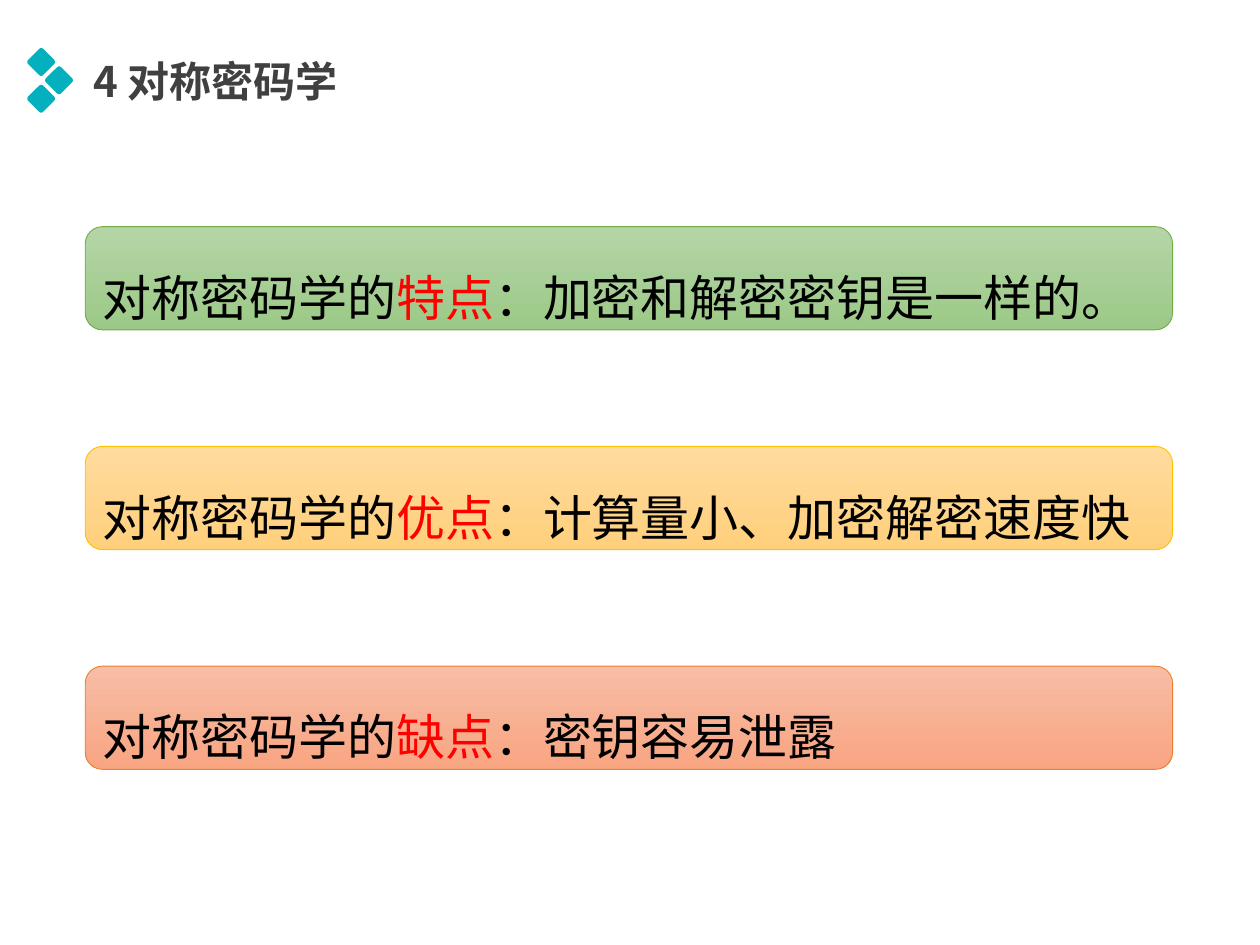
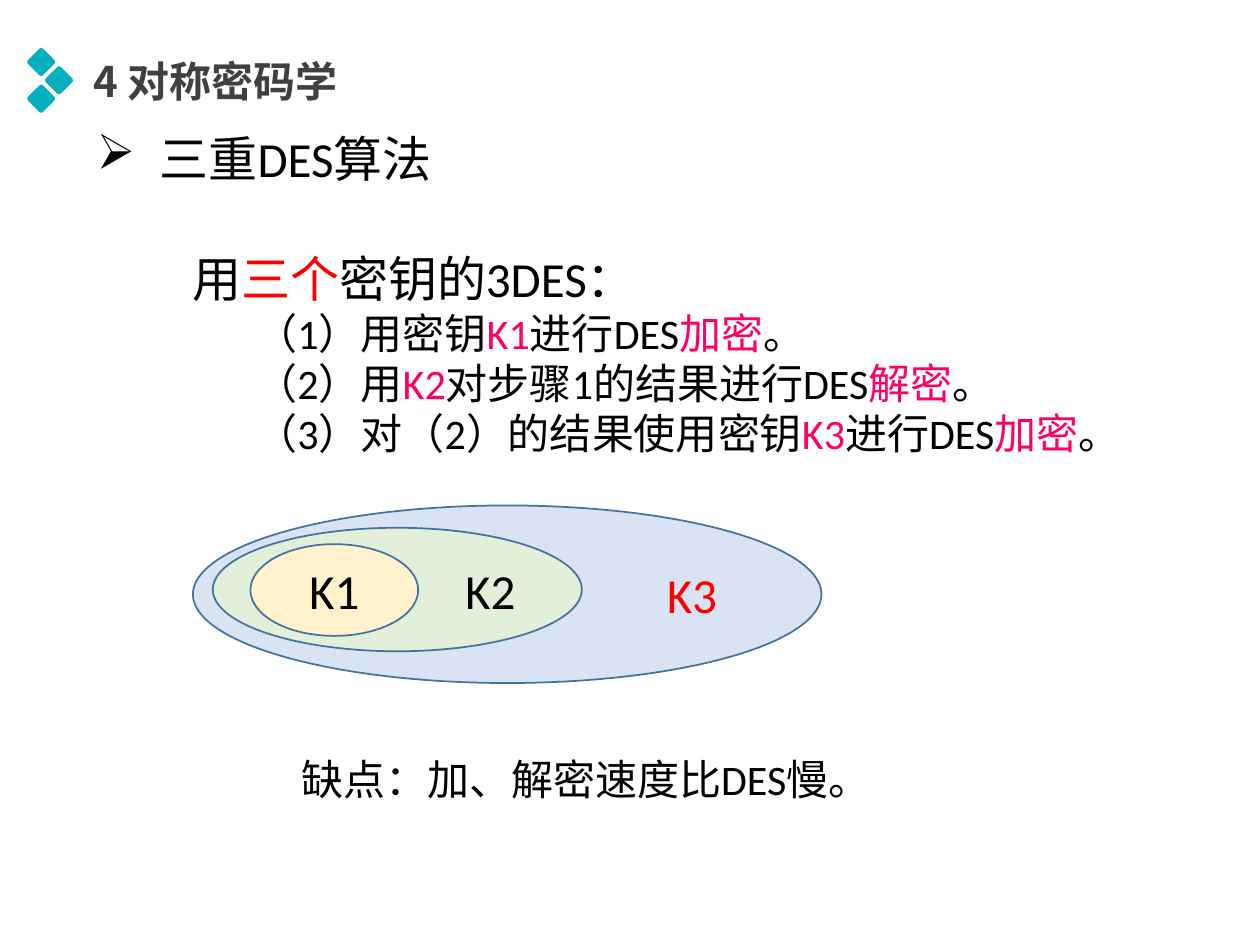
"""Build two slides on symmetric cryptography and triple DES."""
from lxml import etree
from pptx import Presentation
from pptx.dml.color import RGBColor
from pptx.enum.shapes import MSO_SHAPE
from pptx.enum.text import MSO_ANCHOR, MSO_AUTO_SIZE, PP_ALIGN
from pptx.oxml.ns import qn
from pptx.util import Cm, Pt

ROUNDED, OVAL = MSO_SHAPE.ROUNDED_RECTANGLE, MSO_SHAPE.OVAL
TOP, MIDDLE = MSO_ANCHOR.TOP, MSO_ANCHOR.MIDDLE
LEFT, CENTER, RIGHT = PP_ALIGN.LEFT, PP_ALIGN.CENTER, PP_ALIGN.RIGHT
GROW = MSO_AUTO_SIZE.SHAPE_TO_FIT_TEXT

BLACK = RGBColor(0x00, 0x00, 0x00)
RED = RGBColor(0xFF, 0x00, 0x00)
PINK = RGBColor(0xFF, 0x00, 0x66)
TITLE_GREY = RGBColor(0x40, 0x40, 0x40)
TEAL = RGBColor(0x04, 0xB0, 0xBE)
RING_LINE = RGBColor(0x43, 0x73, 0x9E)
GREEN = RGBColor(0xB5, 0xD5, 0xA7), RGBColor(0x9C, 0xC9, 0x87), RGBColor(0x70, 0xAD, 0x47)
YELLOW = RGBColor(0xFF, 0xDB, 0x9E), RGBColor(0xFF, 0xD0, 0x7C), RGBColor(0xFF, 0xC0, 0x00)
ORANGE = RGBColor(0xF7, 0xBD, 0xA5), RGBColor(0xF8, 0xA5, 0x82), RGBColor(0xED, 0x7D, 0x31)
PALE_BLUE = RGBColor(0xDA, 0xE3, 0xF3)
PALE_GREEN = RGBColor(0xE2, 0xF0, 0xD9)
PALE_YELLOW = RGBColor(0xFF, 0xF2, 0xCC)

LATIN_FONT, BODY_FONT, TITLE_FONT = "Calibri", "Noto Sans CJK JP", "Noto Sans CJK SC"

TITLE = "4 对称密码学"
DIAMOND_CENTERS = [(0.83, 1.25), (1.19, 1.62), (0.83, 1.99)]
DIAMOND_SIDE = 0.43

# Text between asterisks takes the accent colour.
TRAITS = [
    ("对称密码学的*特点*：加密和解密密钥是一样的。", GREEN),
    ("对称密码学的*优点*：计算量小、加密解密速度快", YELLOW),
    ("对称密码学的*缺点*：密钥容易泄露", ORANGE),
]
TRAIT_TOP, TRAIT_PITCH = 4.57, 4.43

ALGORITHM = "三重DES算法"
STEPS_HEADING = "用*三个*密钥的3DES："
STEPS = [
    "（1）用密钥*K1*进行DES*加密*。",
    "（2）用*K2*对步骤1的结果进行DES*解密*。",
    "（3）对（2）的结果使用密钥*K3*进行DES*加密*。",
]
DRAWBACK = "缺点：加、解密速度比DES慢。"
KEY_RINGS = [
    ("K3", (3.89, 10.19, 12.67, 3.58), PALE_BLUE, RED, RIGHT),
    ("K2", (4.29, 10.64, 7.44, 2.49), PALE_GREEN, BLACK, RIGHT),
    ("K1", (5.05, 10.97, 3.38, 1.85), PALE_YELLOW, BLACK, CENTER),
]


def write(paragraph, text, size=28, font=LATIN_FONT, color=BLACK, accent=RED,
          bold=False, align=LEFT, margin=0, indent=0, bullet=None):
    paragraph.alignment = align
    properties = paragraph._p.get_or_add_pPr()
    properties.set("marL", str(Cm(margin)))
    properties.set("indent", str(Cm(indent)))
    if bullet:
        etree.SubElement(properties, qn("a:buChar")).set("char", bullet)
    paragraph.font.size = Pt(size)
    paragraph.font.bold = bold
    paragraph.font.name = font
    paragraph.font.color.rgb = color
    east_asian = BODY_FONT if font == LATIN_FONT else font
    etree.SubElement(properties.get_or_add_defRPr(), qn("a:ea")).set("typeface", east_asian)
    for index, part in enumerate(text.split("*")):
        run = paragraph.add_run()
        run.text = part
        if index % 2:
            run.font.color.rgb = accent


def add_text_frame(slide, box, wrap=True):
    frame = slide.shapes.add_textbox(*map(Cm, box)).text_frame
    frame.word_wrap = wrap
    frame.auto_size = GROW
    return frame


def add_shape(slide, kind, box, fill=None, line=None, line_width=1, anchor=MIDDLE):
    shape = slide.shapes.add_shape(kind, *map(Cm, box))
    shape.shadow.inherit = False
    shape.text_frame.vertical_anchor = anchor
    if fill is not None:
        shape.fill.solid()
        shape.fill.fore_color.rgb = fill
    if line is None:
        shape.line.fill.background()
    else:
        shape.line.color.rgb = line
        shape.line.width = Pt(line_width)
    return shape


def add_titled_slide(presentation):
    slide = presentation.slides.add_slide(presentation.slide_layouts[6])
    for x, y in DIAMOND_CENTERS:
        half = DIAMOND_SIDE / 2
        diamond = add_shape(slide, ROUNDED, (x - half, y - half, DIAMOND_SIDE, DIAMOND_SIDE), TEAL)
        diamond.adjustments[0] = 0.13
        diamond.rotation = 45
    frame = add_text_frame(slide, (1.7, 1.02, 7.7, 1.22))
    frame.margin_left = frame.margin_right = Cm(0.18)
    frame.margin_top = frame.margin_bottom = Cm(0.1)
    write(frame.paragraphs[0], TITLE, 24, TITLE_FONT, TITLE_GREY, bold=True)
    return slide


def build_traits_slide(presentation):
    slide = add_titled_slide(presentation)
    for index, (text, (light, dark, outline)) in enumerate(TRAITS):
        box = 1.72, TRAIT_TOP + index * TRAIT_PITCH, 21.92, 2.08
        band = add_shape(slide, ROUNDED, box, line=outline, line_width=0.5, anchor=TOP)
        band.fill.gradient()
        band.fill.gradient_angle = 270
        for stop, color in zip(band.fill.gradient_stops, (light, dark)):
            stop.color.rgb = color
            stop.position = float(color is dark)
        band.text_frame.word_wrap = True
        band.text_frame.auto_size = GROW
        paragraph = band.text_frame.paragraphs[0]
        paragraph.line_spacing = 1.5
        write(paragraph, text, font=BODY_FONT)


def build_triple_des_slide(presentation):
    slide = add_titled_slide(presentation)
    heading = add_text_frame(slide, (1.7, 2.46, 7.34, 1.45), wrap=False)
    write(heading.paragraphs[0], ALGORITHM, margin=1.27, indent=-1.27, bullet="➢")
    for text, box, fill, color, align in KEY_RINGS:
        ring = add_shape(slide, OVAL, box, fill, RING_LINE)
        write(ring.text_frame.paragraphs[0], text, color=color, align=align)
    steps = add_text_frame(slide, (1.09, 4.88, 23.98, 4.52))
    write(steps.paragraphs[0], STEPS_HEADING, margin=2.54)
    for step in STEPS:
        write(steps.add_paragraph(), step, 24, accent=PINK, margin=3.81)
    drawback = add_text_frame(slide, (3.28, 15.06, 17.88, 1.27))
    write(drawback.paragraphs[0], DRAWBACK, 24, margin=1.73, indent=0.81)


def main():
    presentation = Presentation()
    presentation.slide_width, presentation.slide_height = Cm(25.4), Cm(19.05)
    build_traits_slide(presentation)
    build_triple_des_slide(presentation)
    presentation.save("out.pptx")


if __name__ == "__main__":
    main()
